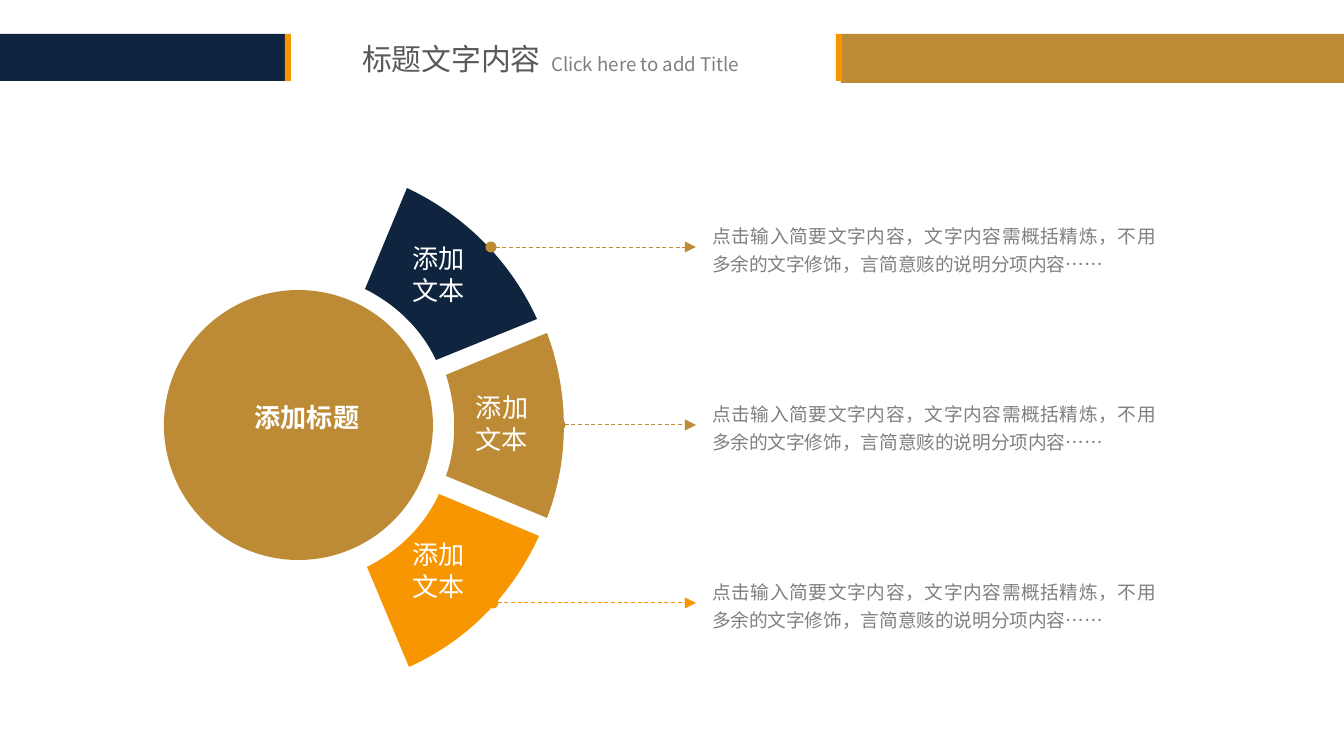
from lxml.etree import SubElement
from pptx import Presentation
from pptx.dml.color import RGBColor
from pptx.enum.dml import MSO_LINE
from pptx.enum.shapes import MSO_CONNECTOR, MSO_SHAPE
from pptx.enum.text import PP_ALIGN
from pptx.oxml.ns import qn
from pptx.util import Pt

SCALE = 914400 / 134.4
FONT = "Noto Sans CJK SC"
NAVY, GOLD, ORANGE = "0F243E", "BD8B36", "F79600"
WHITE, GREY, DARK = "FFFFFF", "808080", "595959"
DETAIL = "点击输入简要文字内容，文字内容需概括精炼，不用多余的文字修饰，言简意赅的说明分项内容……"

HEADER_BARS = [
    (841, 34, 503, 49, GOLD),
    (0, 34, 286, 47, NAVY),
    (836, 34, 6, 47, ORANGE),
    (285, 34, 6, 47, ORANGE),
]
HEADINGS = [
    ("标题文字内容", (349, 34, 223, 50), dict(size=16, color=DARK, leading=19)),
    ("Click here to add Title", (538, 46, 230, 36), dict(size=10, color=GREY, leading=12)),
]
HUB = ("添加标题", (164, 290, 269, 270), (233, 394, 148, 46))
BRANCHES = [
    dict(label="添加文本", label_at=(402, 242), fill=NAVY, line=GOLD, start=491,
         outer=[(407, 188), (462, 214), (509, 258), (537, 319)],
         inner=[(436, 360), (421, 328), (395, 304), (365, 289)]),
    dict(label="添加文本", label_at=(465, 391), fill=GOLD, line=GOLD, start=560,
         outer=[(547, 333), (570, 395), (569, 461), (547, 518)],
         inner=[(446, 476), (457, 445), (457, 409), (446, 375)]),
    dict(label="添加文本", label_at=(402, 538), fill=ORANGE, line=ORANGE, start=493,
         outer=[(539, 536), (513, 593), (469, 640), (409, 667)],
         inner=[(367, 567), (399, 551), (425, 525), (439, 494)]),
]
ARROW_TOP, ARROW_END, BRANCH_STEP = 247, 696, 178
DETAIL_LEFT, DETAIL_RISE = 712, 28


def px(value):
    return round(value * SCALE)


def rgb(value):
    return RGBColor.from_string(value)


def paint(shape, color):
    shape.shadow.inherit = False
    shape.fill.solid()
    shape.fill.fore_color.rgb = rgb(color)
    shape.line.fill.background()


def add_shape(page, kind, area, color):
    paint(page.shapes.add_shape(kind, *map(px, area)), color)


def add_text(page, text, area, size, color, leading, bold=False, align=PP_ALIGN.LEFT, inset=True):
    box = page.shapes.add_textbox(*map(px, area))
    frame = box.text_frame
    frame.word_wrap = True
    if not inset:
        for side in ("left", "right", "top", "bottom"):
            setattr(frame, f"margin_{side}", 0)
    para = frame.paragraphs[0]
    para.alignment = align
    para.line_spacing = Pt(leading)
    span = para.add_run()
    span.text = text
    for name, value in dict(name=FONT, size=Pt(size), bold=bold).items():
        setattr(span.font, name, value)
    span.font.color.rgb = rgb(color)
    SubElement(span.font._element, qn("a:ea"), typeface=FONT)


def add_wedge(page, outer, inner, color):
    start, *others = [tuple(map(px, point)) for point in outer + inner]
    builder = page.shapes.build_freeform(*start)
    builder.add_line_segments(others, close=True)
    wedge = builder.convert_to_shape()
    paint(wedge, color)
    segments = list(wedge._element.iter(qn("a:lnTo")))
    for first, second, last in (segments[:3], segments[4:7]):
        first.tag = qn("a:cubicBezTo")
        for segment in (second, last):
            first.append(segment[0])
            segment.getparent().remove(segment)


def add_arrow(page, start, end, y, color):
    arrow = page.shapes.add_connector(MSO_CONNECTOR.STRAIGHT, px(start), px(y), px(end), px(y))
    arrow.line.width = Pt(0.5)
    arrow.line.color.rgb = rgb(color)
    arrow.line.dash_style = MSO_LINE.DASH
    line = arrow.line._get_or_add_ln()
    SubElement(line, qn("a:headEnd"), type="oval")
    SubElement(line, qn("a:tailEnd"), type="triangle")
    SubElement(arrow._element.spPr, qn("a:effectLst"))


def main():
    deck = Presentation()
    deck.slide_width, deck.slide_height = px(1344), px(756)
    page = deck.slides.add_slide(deck.slide_layouts[6])

    for text, area, style in HEADINGS:
        add_text(page, text, area, **style)
    for *area, color in HEADER_BARS:
        add_shape(page, MSO_SHAPE.RECTANGLE, area, color)

    title, circle, title_area = HUB
    add_shape(page, MSO_SHAPE.OVAL, circle, GOLD)
    add_text(page, title, title_area, 14, WHITE, 17, bold=True, align=PP_ALIGN.CENTER)

    for index, branch in enumerate(BRANCHES):
        y = ARROW_TOP + index * BRANCH_STEP
        add_wedge(page, branch["outer"], branch["inner"], branch["fill"])
        add_arrow(page, branch["start"], ARROW_END, y, branch["line"])
        add_text(page, branch["label"], (*branch["label_at"], 74, 63), 14, WHITE, 17,
                 align=PP_ALIGN.CENTER, inset=False)
        add_text(page, DETAIL, (DETAIL_LEFT, y - DETAIL_RISE, 444, 56), 10, GREY, 15,
                 align=PP_ALIGN.JUSTIFY, inset=False)

    deck.save("out.pptx")


if __name__ == "__main__":
    main()
